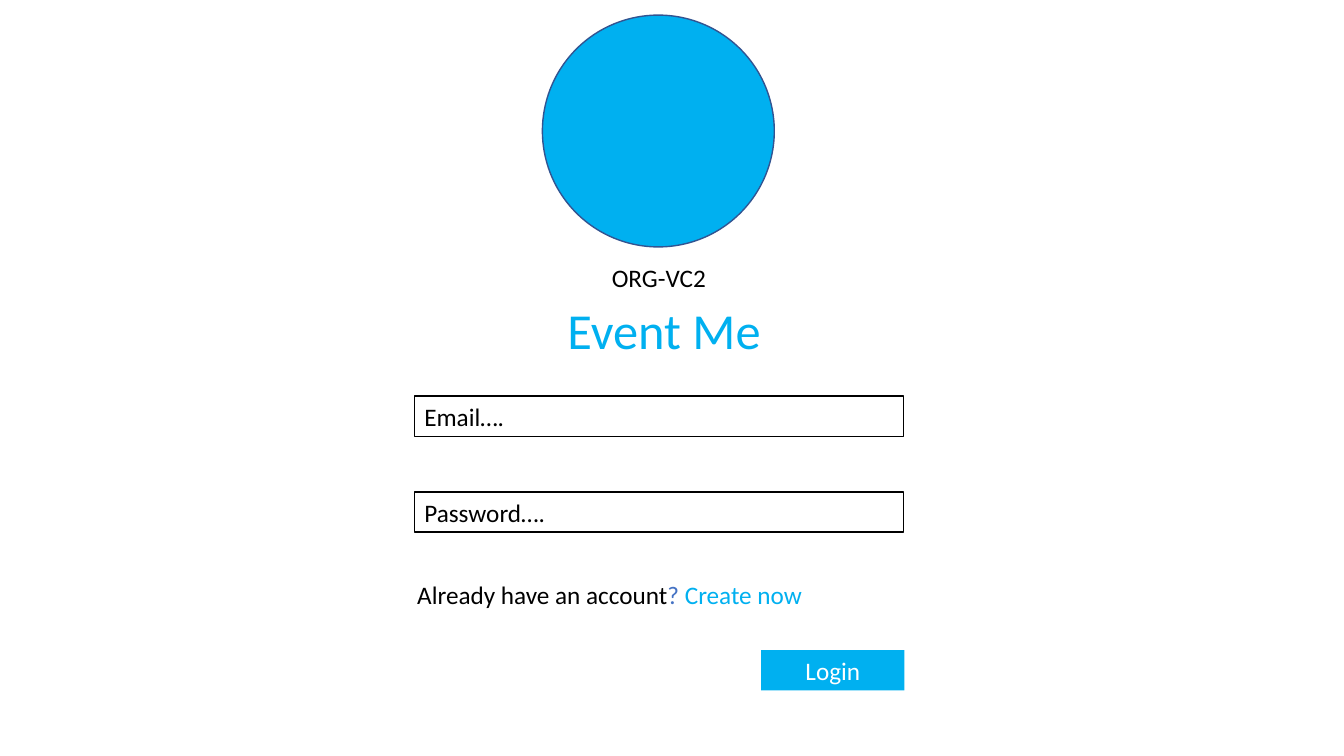
"""Build the login screen slide."""
from pptx import Presentation
from pptx.dml.color import RGBColor
from pptx.enum.shapes import MSO_SHAPE as Preset
from pptx.enum.text import MSO_ANCHOR as Anchor, PP_ALIGN as Align
from pptx.util import Inches, Pt

SKY, BLACK, WHITE = "00B0F0", "000000", "FFFFFF"
ROW_HEIGHT = 0.4


def paint(color_format, hex_color):
    """Set a colour from a hex string."""
    color_format.rgb = RGBColor.from_string(hex_color)


def write(frame, pieces, size=18, align=Align.LEFT):
    """Write one paragraph from (text, colour) pieces."""
    frame.word_wrap = True
    frame.vertical_anchor = Anchor.TOP
    line = frame.paragraphs[0]
    line.alignment = align
    line.font.name = "Calibri"
    line.font.size = Pt(size)
    for text, color in pieces:
        run = line.add_run()
        run.text = text
        paint(run.font.color, color)


def add_label(slide, box, pieces, size=18):
    """Add a line of free text."""
    label = slide.shapes.add_textbox(*map(Inches, box))
    write(label.text_frame, pieces, size)


def add_panel(slide, preset, box, fill=None, outline=None):
    """Add a flat shape with an optional fill and outline."""
    panel = slide.shapes.add_shape(preset, *map(Inches, box))
    panel.shadow.inherit = False
    if fill:
        panel.fill.solid()
        paint(panel.fill.fore_color, fill)
    else:
        panel.fill.background()
    if outline:
        paint(panel.line.color, outline)
        panel.line.width = Pt(1)
    else:
        panel.line.fill.background()
    return panel


def add_field(slide, top, prompt):
    """Add an outlined input field with its prompt."""
    field = add_panel(slide, Preset.RECTANGLE, (4.11, top, 4.85, ROW_HEIGHT), outline=BLACK)
    write(field.text_frame, [(prompt, BLACK)])


def add_button(slide, box, caption):
    """Add a filled button with a centred caption."""
    button = add_panel(slide, Preset.RECTANGLE, box, fill=SKY)
    write(button.text_frame, [(caption, WHITE)], align=Align.CENTER)


def main():
    """Build and save the slide."""
    deck = Presentation()
    deck.slide_width, deck.slide_height = Inches(13.33), Inches(7.5)
    slide = deck.slides.add_slide(deck.slide_layouts[6])

    add_panel(slide, Preset.OVAL, (5.38, 0.15, 2.3, 2.3), SKY, "325491")
    add_label(slide, (5.97, 2.55, 1.2, ROW_HEIGHT), [("ORG-VC2", BLACK)])
    add_label(slide, (5.53, 2.92, 2.3, 0.71), [("Event Me", SKY)], 36)
    for top, prompt in ((3.93, "Email…."), (4.88, "Password….")):
        add_field(slide, top, prompt)
    account = [("Already have an account", BLACK), ("? ", "4472C4"), ("Create now", SKY)]
    add_label(slide, (4.04, 5.7, 4.16, ROW_HEIGHT), account)
    add_button(slide, (7.55, 6.45, 1.42, ROW_HEIGHT), "Login")

    deck.save("out.pptx")


main()
